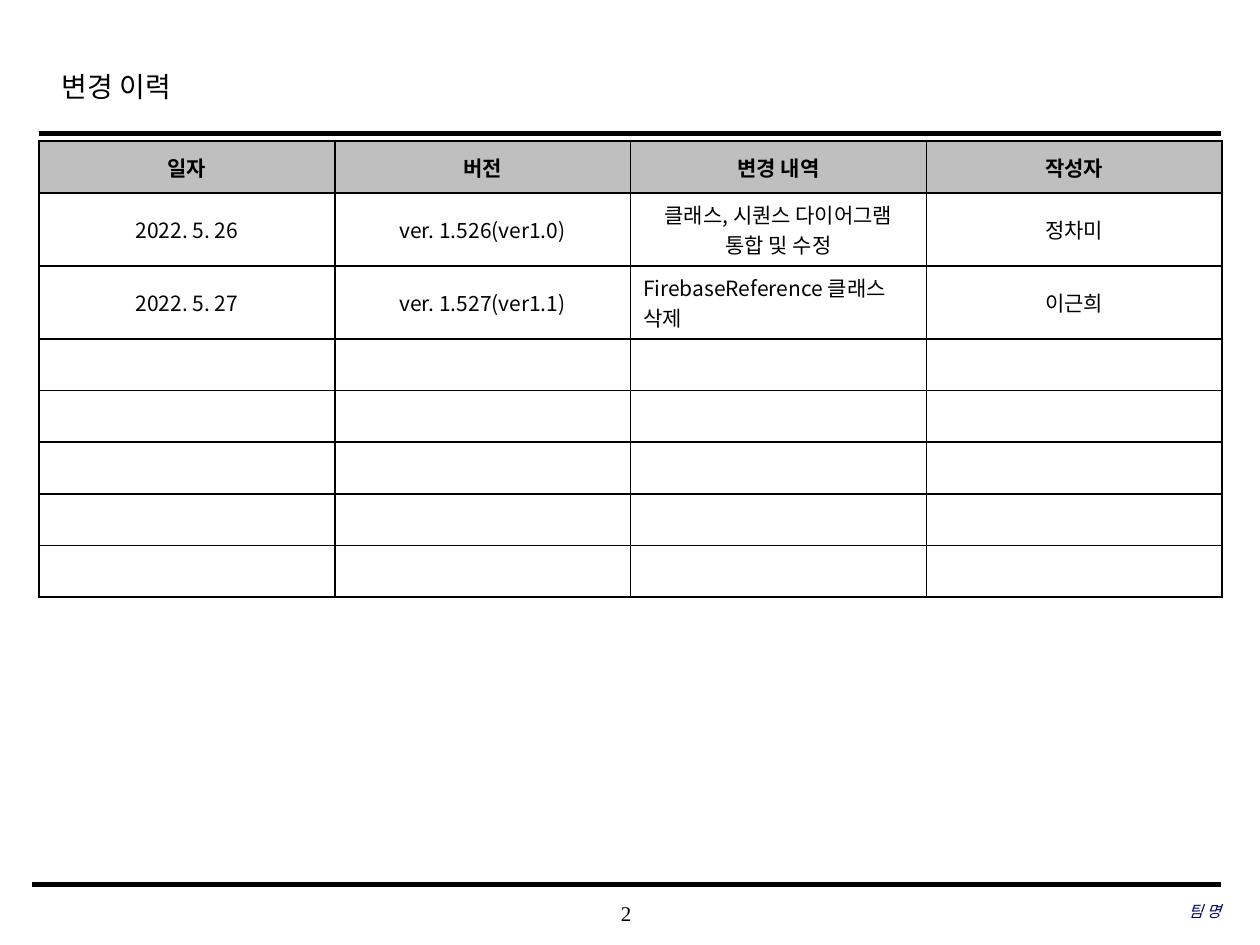
"""Build the change history slide with its table, rules and footer."""
from dataclasses import dataclass

import lxml.etree
import pptx
import pptx.dml.color
import pptx.enum.shapes
import pptx.enum.text
import pptx.oxml.ns
import pptx.util

Inches = pptx.util.Inches
Align = pptx.enum.text.PP_ALIGN
Anchor = pptx.enum.text.MSO_ANCHOR
qn = pptx.oxml.ns.qn

COLORS = {"ink": "000000", "head": "BFBFBF", "cell": "FFFFFF", "team": "000066"}
SANS = "Noto Sans CJK KR"
SERIF = "Times New Roman"
ROWS = [
    ("일자", "버전", "변경 내역", "작성자"),
    ("2022. 5. 26", "ver. 1.526(ver1.0)", "클래스, 시퀀스 다이어그램 통합 및 수정", "정차미"),
    ("2022. 5. 27", "ver. 1.527(ver1.1)", "FirebaseReference 클래스 삭제", "이근희"),
]
HEIGHTS = [0.41] + [0.58] * 2 + [0.41] * 5
LEFT_CELL = (2, 2)


@dataclass
class Style:
    """Look of a paragraph."""
    size: float
    face: str = SERIF
    color: str = "ink"
    bold: bool = False
    slant: bool = False
    align: Align = Align.CENTER


@dataclass
class Rule:
    """Horizontal line across the slide."""
    left: float
    right: float
    top: float
    width: float


@dataclass
class Note:
    """Line of text in the footer."""
    text: str
    left: float
    top: float
    width: float
    style: Style


RULES = [Rule(0.31, 9.69, 1.06, 2.5), Rule(0.25, 9.69, 7.02, 3)]
NOTES = [
    Note("2", 3.93, 7.08, 2.08, Style(12)),
    Note("팀 명", 6.63, 7.07, 3.06, Style(9, color="team", slant=True, align=Align.RIGHT)),
]


def tint(name: str) -> pptx.dml.color.RGBColor:
    """Return the named color."""
    return pptx.dml.color.RGBColor.from_string(COLORS[name])


def write(frame, text: str, style: Style) -> None:
    """Put styled text in a frame."""
    para = frame.paragraphs[0]
    if text:
        para.text = text
    para.alignment = style.align
    font = para.font
    font.size = pptx.util.Pt(style.size)
    font.name = style.face
    font.bold = style.bold
    font.italic = style.slant
    font.color.rgb = tint(style.color)
    props = para._p.pPr.find(qn("a:defRPr"))
    east = lxml.etree.SubElement(props, qn("a:ea"))
    east.set("typeface", SANS)


def draw_rule(slide, rule: Rule) -> None:
    """Draw a plain line."""
    line = slide.shapes.add_connector(
        pptx.enum.shapes.MSO_CONNECTOR.STRAIGHT,
        Inches(rule.left), Inches(rule.top), Inches(rule.right), Inches(rule.top))
    line.line.color.rgb = tint("ink")
    line.line.width = pptx.util.Pt(rule.width)
    lxml.etree.SubElement(line._element.spPr, qn("a:effectLst"))


def draw_note(slide, note: Note) -> None:
    """Draw a footer text box."""
    box = slide.shapes.add_textbox(
        Inches(note.left), Inches(note.top), Inches(note.width), Inches(0.33))
    frame = box.text_frame
    frame.word_wrap = True
    frame.vertical_anchor = Anchor.MIDDLE
    frame.margin_left = frame.margin_right = frame.margin_top = frame.margin_bottom = 0
    write(frame, note.text, note.style)


def draw_title(slide) -> None:
    """Place and fill the title."""
    title = slide.shapes.title
    title.left, title.top = Inches(0.39), Inches(0.49)
    title.width, title.height = Inches(7.55), Inches(0.5)
    frame = title.text_frame
    frame.vertical_anchor = Anchor.TOP
    frame.margin_top = Inches(0.01)
    write(frame, "변경 이력", Style(16, align=Align.LEFT))
    frame.paragraphs[0].line_spacing = 1.2


def edge_cell(cell) -> None:
    """Give a cell thin borders on all sides."""
    props = cell._tc.get_or_add_tcPr()
    for spot, side in enumerate(("lnL", "lnR", "lnT", "lnB")):
        edge = lxml.etree.Element(qn(f"a:{side}"), w=str(pptx.util.Pt(1)))
        fill = lxml.etree.SubElement(edge, qn("a:solidFill"))
        lxml.etree.SubElement(fill, qn("a:srgbClr"), val=COLORS["ink"])
        props.insert(spot, edge)


def draw_table(slide) -> None:
    """Draw the change history."""
    cols = len(ROWS[0])
    table = slide.shapes.add_table(
        len(HEIGHTS), cols, Inches(0.31), Inches(1.12),
        Inches(9.39), Inches(sum(HEIGHTS))).table
    for row, height in enumerate(HEIGHTS):
        table.rows[row].height = Inches(height)
        for col in range(cols):
            cell = table.cell(row, col)
            cell.vertical_anchor = Anchor.MIDDLE
            cell.fill.solid()
            cell.fill.fore_color.rgb = tint("cell" if row else "head")
            edge_cell(cell)
            align = Align.LEFT if (row, col) == LEFT_CELL else Align.CENTER
            text = ROWS[row][col] if row < len(ROWS) else ""
            write(cell.text_frame, text, Style(12, SANS, bold=row == 0, align=align))


def main() -> None:
    """Build and save the slide."""
    deck = pptx.Presentation()
    deck.slide_width, deck.slide_height = Inches(10), Inches(7.5)
    slide = deck.slides.add_slide(deck.slide_layouts[5])
    for rule in RULES:
        draw_rule(slide, rule)
    draw_title(slide)
    for note in NOTES:
        draw_note(slide, note)
    draw_table(slide)
    deck.save("out.pptx")


if __name__ == "__main__":
    main()
